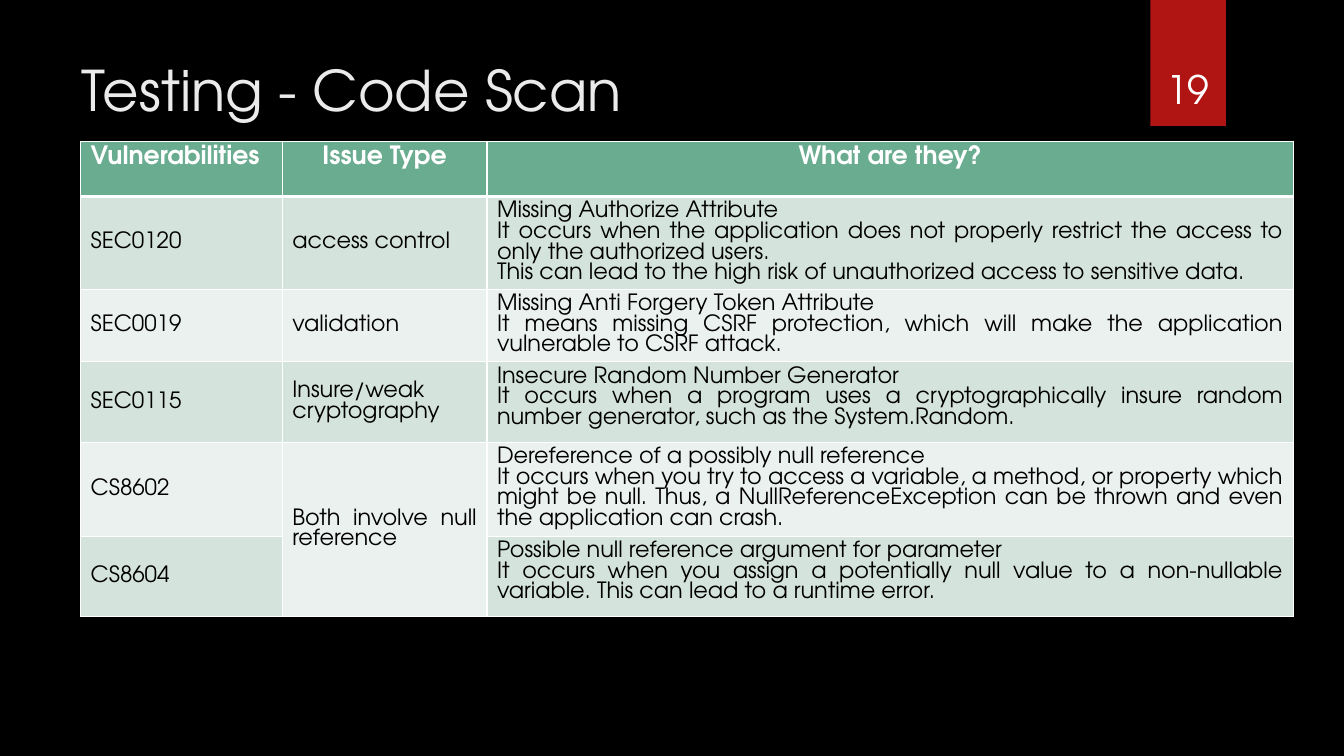
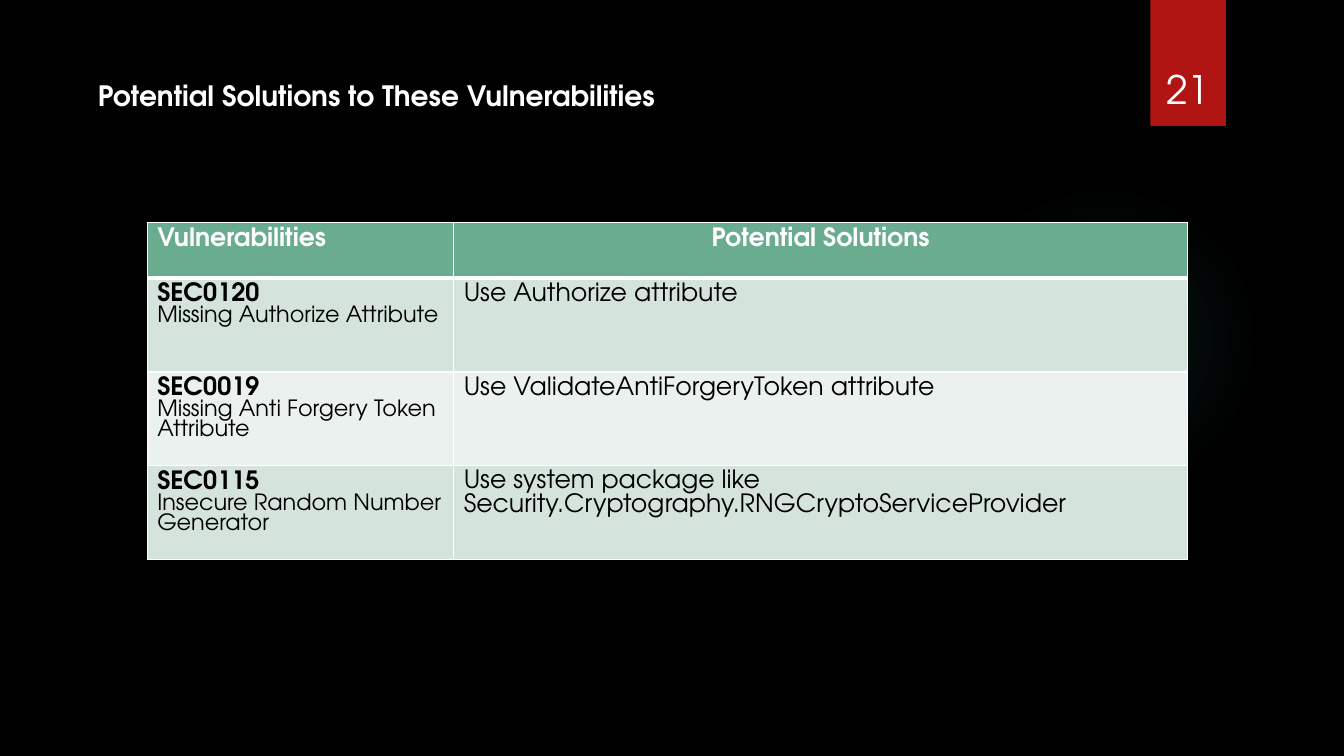
from lxml import etree
from pptx import Presentation
from pptx.dml.color import RGBColor
from pptx.enum import shapes, text
from pptx.oxml import parse_xml
from pptx.oxml.ns import nsdecls, qn
from pptx.util import Inches, Pt

FONT = "TeX Gyre Adventor"
BLACK = RGBColor(0, 0, 0)
WHITE = RGBColor(255, 255, 255)
SOFT = RGBColor(0xEB, 0xEB, 0xEB)
RED = RGBColor(0xB0, 0x15, 0x13)
TEAL = RGBColor(0x50, 0xB9, 0xC1)
GREEN = RGBColor(0x6A, 0xAC, 0x90)
BANDS = RGBColor(0xD4, 0xE3, 0xDB), RGBColor(0xEB, 0xF1, 0xEE)

LEFT, MID, JUST = text.PP_ALIGN.LEFT, text.PP_ALIGN.CENTER, text.PP_ALIGN.JUSTIFY
TOP, HALF, BASE = (text.MSO_ANCHOR.TOP, text.MSO_ANCHOR.MIDDLE,
                   text.MSO_ANCHOR.BOTTOM)
HEAD, BODY, LARGE = (18, True), (16, False), (18, False)
TIGHT = 0.92  # line pitch in table cells, as a share of the text size

# cols: width, alignment, anchor, style of first line, style of other lines
SLIDES = [
    {
        "page": "19",
        "title": "Testing - Code Scan",
        "box": (0.71, 0.5, 10.29, 1.53),
        "style": (40, False, SOFT),
        "at": (0.8, 1.4),
        "cols": [(2, LEFT, HALF, BODY, BODY),
                 (2.03, JUST, HALF, BODY, BODY),
                 (8, JUST, TOP, BODY, BODY)],
        "heights": [0.55, 0.92, 0.72, 0.8, 0.93, 0.8],
        "merge": [(4, 1, 5, 1)],
        "rows": [
            ("Vulnerabilities", "Issue Type", "What are they?"),
            ("SEC0120", "access control",
             "Missing Authorize Attribute\n"
             "It occurs when the application does not properly restrict the "
             "access to only the authorized users.\n"
             "This can lead to the high risk of unauthorized access to "
             "sensitive data."),
            ("SEC0019", "validation",
             "Missing Anti Forgery Token Attribute\n"
             "It means missing CSRF protection, which will make the "
             "application vulnerable to CSRF attack."),
            ("SEC0115", "Insure/weak cryptography",
             "Insecure Random Number Generator\n"
             "It occurs when a program uses a cryptographically insure random "
             "number generator, such as the System.Random."),
            ("CS8602", "Both involve null reference",
             "Dereference of a possibly null reference\n"
             "It occurs when you try to access a variable, a method, or "
             "property which might be null. Thus, a NullReferenceException "
             "can be thrown and even the application can crash."),
            ("CS8604", "",
             "Possible null reference argument for parameter\n"
             "It occurs when you assign a potentially null value to a "
             "non-nullable variable. This can lead to a runtime error."),
        ],
    },
    {
        "page": "21",
        "title": "Potential Solutions to These Vulnerabilities",
        "box": (0.87, 0.73, 9.68, 0.44),
        "style": (20, True, WHITE),
        "at": (1.46, 2.21),
        "cols": [(3.04, LEFT, TOP, HEAD, BODY),
                 (7.28, LEFT, TOP, LARGE, LARGE)],
        "heights": [0.55, 0.93, 0.93, 0.93],
        "merge": [],
        "rows": [
            ("Vulnerabilities", "Potential Solutions"),
            ("SEC0120\nMissing Authorize Attribute",
             "Use Authorize attribute"),
            ("SEC0019\nMissing Anti Forgery Token Attribute",
             "Use ValidateAntiForgeryToken attribute"),
            ("SEC0115\nInsecure Random Number Generator",
             "Use system package like "
             "Security.Cryptography.RNGCryptoServiceProvider"),
        ],
    },
]


def inches(*vals):
    return [Inches(v) for v in vals]


def write(para, words, size, bold, color, align=LEFT):
    para.alignment = align
    run = para.add_run()
    run.text = words
    font = run.font
    font.name, font.size, font.bold = FONT, Pt(size), bold
    font.color.rgb = color


def shape(slide, kind, *box):
    item = slide.shapes.add_shape(kind, *inches(*box))
    item.shadow.inherit = False
    item.line.fill.background()
    return item


def frame(slide, page):
    """Draw the glow, the red tab and the page number."""
    glow = shape(slide, shapes.MSO_SHAPE.OVAL, 9.41, 1.83, 3.08, 3.08)
    stops = "".join(
        f'<a:gs pos="{pos}000"><a:srgbClr val="{TEAL}">'
        f'<a:alpha val="{alpha}000"/></a:srgbClr></a:gs>'
        for pos, alpha in [(0, 7), (36, 6), (69, 0), (100, 0)])
    geom = glow.element.spPr.find(qn("a:prstGeom"))
    geom.addnext(parse_xml(
        f'<a:gradFill {nsdecls("a")}><a:gsLst>{stops}</a:gsLst>'
        '<a:path path="circle"><a:fillToRect l="50000" t="50000" '
        'r="50000" b="50000"/></a:path></a:gradFill>'))

    tab = shape(slide, shapes.MSO_SHAPE.RECTANGLE, 11.41, 0, 0.75, 1.25)
    tab.fill.solid()
    tab.fill.fore_color.rgb = RED

    body = slide.shapes.add_textbox(*inches(11.32, 0.32, 0.92, 0.84)).text_frame
    body.word_wrap = True
    body.vertical_anchor = BASE
    write(body.paragraphs[0], page, 28, False, WHITE, MID)


def head(slide, words, box, style):
    title = slide.shapes.title
    title.left, title.top, title.width, title.height = inches(*box)
    body = title.text_frame
    body.auto_size = text.MSO_AUTO_SIZE.NONE
    body.word_wrap = True
    body.vertical_anchor = TOP
    write(body.paragraphs[0], words, *style)


def edge(cell, row):
    """Add white borders, thick between the header and the first row."""
    props = cell._tc.get_or_add_tcPr()
    thick = {(0, "lnB"), (1, "lnT")}
    for side in ("lnL", "lnR", "lnT", "lnB"):
        width = Pt(3 if (row, side) in thick else 1)
        line = etree.SubElement(props, qn(f"a:{side}"), w=str(width))
        fill = etree.SubElement(line, qn("a:solidFill"))
        etree.SubElement(fill, qn("a:srgbClr"), val=str(WHITE))


def grid(slide, data):
    rows, cols, tall = data["rows"], data["cols"], data["heights"]
    size = sum(col[0] for col in cols), sum(tall)
    table = slide.shapes.add_table(
        len(rows), len(cols), *inches(*data["at"], *size)).table
    for c, col in enumerate(cols):
        table.columns[c].width = Inches(col[0])
    for r, row in enumerate(rows):
        table.rows[r].height = Inches(tall[r])
        for c, words in enumerate(row):
            _, align, anchor, first, rest = cols[c]
            color, fill = BLACK, BANDS[(r - 1) % 2]
            if r == 0:
                align, anchor, first = MID if c else LEFT, TOP, HEAD
                color, fill = WHITE, GREEN
            cell = table.cell(r, c)
            edge(cell, r)
            cell.fill.solid()
            cell.fill.fore_color.rgb = fill
            cell.vertical_anchor = anchor
            if not words:
                continue
            body = cell.text_frame
            for n, line in enumerate(words.split("\n")):
                para = body.add_paragraph() if n else body.paragraphs[0]
                points, bold = rest if n else first
                para.line_spacing = Pt(points * TIGHT)
                write(para, line, points, bold, color, align)
    for r1, c1, r2, c2 in data["merge"]:
        table.cell(r1, c1).merge(table.cell(r2, c2))


def main():
    deck = Presentation()
    deck.slide_width, deck.slide_height = inches(13.33, 7.5)
    back = deck.slide_master.background.fill
    back.solid()
    back.fore_color.rgb = BLACK
    for data in SLIDES:
        slide = deck.slides.add_slide(deck.slide_layouts[5])
        frame(slide, data["page"])
        head(slide, data["title"], data["box"], data["style"])
        grid(slide, data)
    deck.save("out.pptx")


if __name__ == "__main__":
    main()
